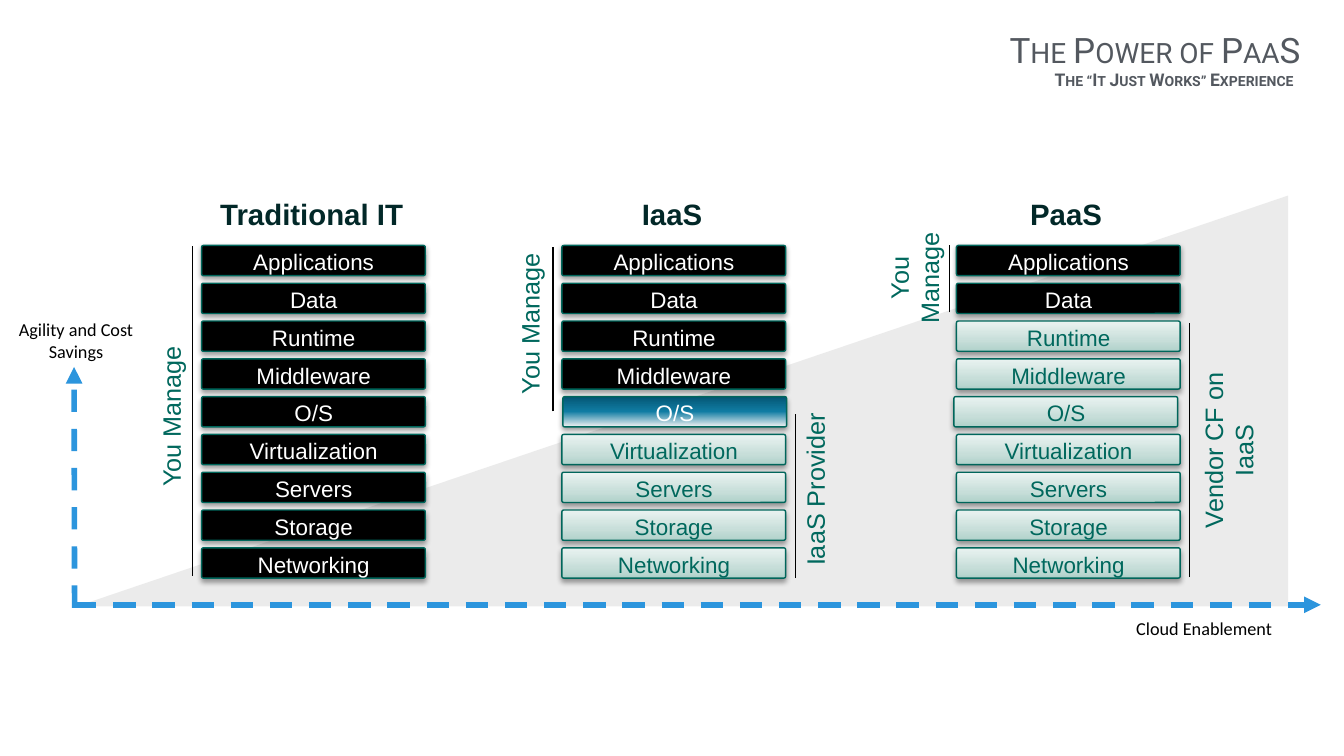
from lxml.etree import SubElement
from pptx import Presentation
from pptx.dml.color import RGBColor
from pptx.enum.dml import MSO_LINE
from pptx.enum.shapes import MSO_CONNECTOR, MSO_SHAPE
from pptx.enum.text import MSO_ANCHOR, MSO_AUTO_SIZE, PP_ALIGN
from pptx.oxml.ns import qn
from pptx.util import Inches, Pt

LAYERS = ["Applications", "Data", "Runtime", "Middleware", "O/S",
          "Virtualization", "Servers", "Storage", "Networking"]
YOURS = "000000"
PROVIDED = [(0, "AFD1CA"), (35, "C7DED9"), (100, "EAF3F1")]
SHARED = [(0, "F2F2F2"), (51, "107CA3"), (100, "045674")]
TEAL = "00685D"
WHITE = "FFFFFF"


def color(value):
    return RGBColor.from_string(value)


class Diagram:
    border = "00665B"
    heading_color = "022828"
    axis_color = "2C95DD"
    title_color = "53585F"
    bar_size = (4.44, 0.6)
    first_bar_top = 4.87
    bar_pitch = 0.75

    def __init__(self, slide):
        self.slide = slide
        self.shapes = slide.shapes

    def start_group(self):
        self.shapes = self.slide.shapes.add_group_shape().shapes

    def end_group(self):
        self.shapes = self.slide.shapes

    def text(self, box, lines, size, ink, font="Arial", bold=False, inset=0.13,
             wrap=True, rotation=0, spacing=None, small_caps=False,
             anchor=MSO_ANCHOR.TOP):
        shape = self.shapes.add_textbox(*map(Inches, box))
        shape.rotation = rotation
        frame = shape.text_frame
        frame.word_wrap = wrap
        frame.auto_size = MSO_AUTO_SIZE.SHAPE_TO_FIT_TEXT
        frame.vertical_anchor = anchor
        frame.margin_left = frame.margin_right = Inches(inset)
        frame.margin_top = frame.margin_bottom = Inches(inset)
        for index, line in enumerate(lines):
            paragraph = frame.add_paragraph() if index else frame.paragraphs[0]
            paragraph.alignment = PP_ALIGN.CENTER
            if spacing:
                paragraph.line_spacing = spacing
            run = paragraph.add_run()
            run.text = line
            run.font.name = font
            run.font.size = Pt(size)
            run.font.bold = bold
            run.font.color.rgb = color(ink)
            if small_caps:
                run.font._element.set("cap", "small")

    def side_label(self, box, *lines):
        self.text(box, lines, 36, TEAL, wrap=False, rotation=270)

    def heading(self, left, label):
        self.text((left, 3.77, 6.19, 0.93), [label], 42, self.heading_color, bold=True)

    def line(self, start, end, ink="000000", width=2):
        connector = self.shapes.add_connector(
            MSO_CONNECTOR.STRAIGHT, *map(Inches, start + end))
        connector.line.color.rgb = color(ink)
        connector.line.width = Pt(width)
        SubElement(connector._element.spPr, qn("a:effectLst"))
        return connector

    def bracket(self, x, bottom, top):
        self.line((x, bottom), (x, top))

    def axis(self, start, end):
        connector = self.line(start, end, self.axis_color, 8)
        connector.line.dash_style = MSO_LINE.DASH
        outline = connector._element.spPr.find(qn("a:ln"))
        SubElement(outline, qn("a:tailEnd"), type="triangle")

    def wedge(self, points, fill, opacity):
        start, *others = [tuple(map(Inches, point)) for point in points]
        builder = self.shapes.build_freeform(*start)
        builder.add_line_segments(others, close=True)
        shape = builder.convert_to_shape()
        shape.shadow.inherit = False
        shape.fill.solid()
        shape.fill.fore_color.rgb = color(fill)
        shape.line.fill.background()
        tint = shape._element.spPr.find(qn("a:solidFill"))[0]
        SubElement(tint, qn("a:alpha"), val=str(opacity * 1000))

    def gradient(self, shape, stops):
        shape.fill.gradient()
        shape.fill.gradient_angle = 90
        stop_list = shape._element.spPr.find(qn("a:gradFill")).find(qn("a:gsLst"))
        for stop in list(stop_list):
            stop_list.remove(stop)
        for position, value in stops:
            stop = SubElement(stop_list, qn("a:gs"), pos=str(position * 1000))
            SubElement(stop, qn("a:srgbClr"), val=value)

    def drop_shadow(self, shape):
        shape.shadow.inherit = False
        effects = shape._element.spPr.find(qn("a:effectLst"))
        shadow = SubElement(effects, qn("a:outerShdw"), blurRad=str(Pt(8)),
                            dist=str(Pt(4)), dir="5400000", rotWithShape="0")
        tint = SubElement(shadow, qn("a:srgbClr"), val="000000")
        SubElement(tint, qn("a:alpha"), val="38000")

    def bar(self, left, top, label, fill):
        width, height = self.bar_size
        shape = self.shapes.add_shape(
            MSO_SHAPE.ROUNDED_RECTANGLE, *map(Inches, (left, top, width, height)))
        shape.adjustments[0] = 0.06
        if fill == YOURS:
            shape.fill.solid()
            shape.fill.fore_color.rgb = color(fill)
        else:
            self.gradient(shape, fill)
        shape.line.color.rgb = color(self.border)
        shape.line.width = Pt(2)
        self.drop_shadow(shape)
        ink = TEAL if fill == PROVIDED else WHITE
        self.text((left + 0.03, top + 0.03, 4.39, 0.77), [label], 32, ink, spacing=0.8)

    def stack(self, left, managed, shared=(), system_shift=0):
        for index, label in enumerate(LAYERS):
            fill = YOURS if index < managed else PROVIDED
            if label in shared:
                fill = SHARED
            shift = system_shift if label == "O/S" else 0
            top = self.first_bar_top + index * self.bar_pitch
            self.bar(left + shift, top, label, fill)


def main():
    presentation = Presentation()
    presentation.slide_width = Inches(26.67)
    presentation.slide_height = Inches(15)
    diagram = Diagram(presentation.slides.add_slide(presentation.slide_layouts[6]))

    diagram.wedge([(25.56, 12.03), (1.53, 12.03), (25.56, 3.88)], "BFBFBF", 30)
    diagram.axis((1.48, 12.06), (1.47, 7.28))
    diagram.axis((1.47, 12), (26.21, 12))
    for box, label in [((0.18, 6.26, 2.66, 1), "Agility and Cost Savings"),
                       ((21.56, 12.19, 4.67, 0.56), "Cloud Enablement")]:
        diagram.text(box, [label], 26, "000000", font="Calibri", inset=0.06)

    diagram.start_group()
    diagram.heading(3.09, "Traditional IT")
    diagram.stack(4, managed=9)
    diagram.side_label((1.84, 7.85, 3.07, 0.83), "You Manage")
    diagram.bracket(3.82, 11.42, 4.88)

    diagram.start_group()
    diagram.heading(10.24, "IaaS")
    diagram.stack(11.15, managed=4, shared=["O/S"], system_shift=0.02)
    diagram.side_label((8.96, 6.01, 3.07, 0.83), "You Manage")
    diagram.side_label((14.5, 9.3, 3.31, 0.83), "IaaS Provider")
    diagram.bracket(10.97, 8.16, 4.91)
    diagram.bracket(15.79, 11.47, 8.22)

    diagram.start_group()
    diagram.heading(18.06, "PaaS")
    diagram.stack(18.98, managed=2, system_shift=-0.05)
    diagram.side_label((17.07, 4.81, 2.09, 1.42), "You", "Manage")
    diagram.side_label((21.83, 8.52, 4.45, 0.83), "Vendor CF on IaaS")
    diagram.bracket(18.84, 6.2, 4.86)
    diagram.bracket(23.6, 11.45, 6.4)

    diagram.end_group()
    diagram.text((19.81, 0.51, 6.22, 0.94), ["The Power of PaaS"], 50,
                 diagram.title_color, font="Roboto", inset=0, wrap=False,
                 small_caps=True, anchor=MSO_ANCHOR.MIDDLE)
    diagram.text((20.58, 1.36, 5.44, 0.53), ["The “It Just Works” Experience"], 25,
                 diagram.title_color, font="Roboto", bold=True, inset=0, wrap=False,
                 small_caps=True)

    presentation.save("out.pptx")


if __name__ == "__main__":
    main()
